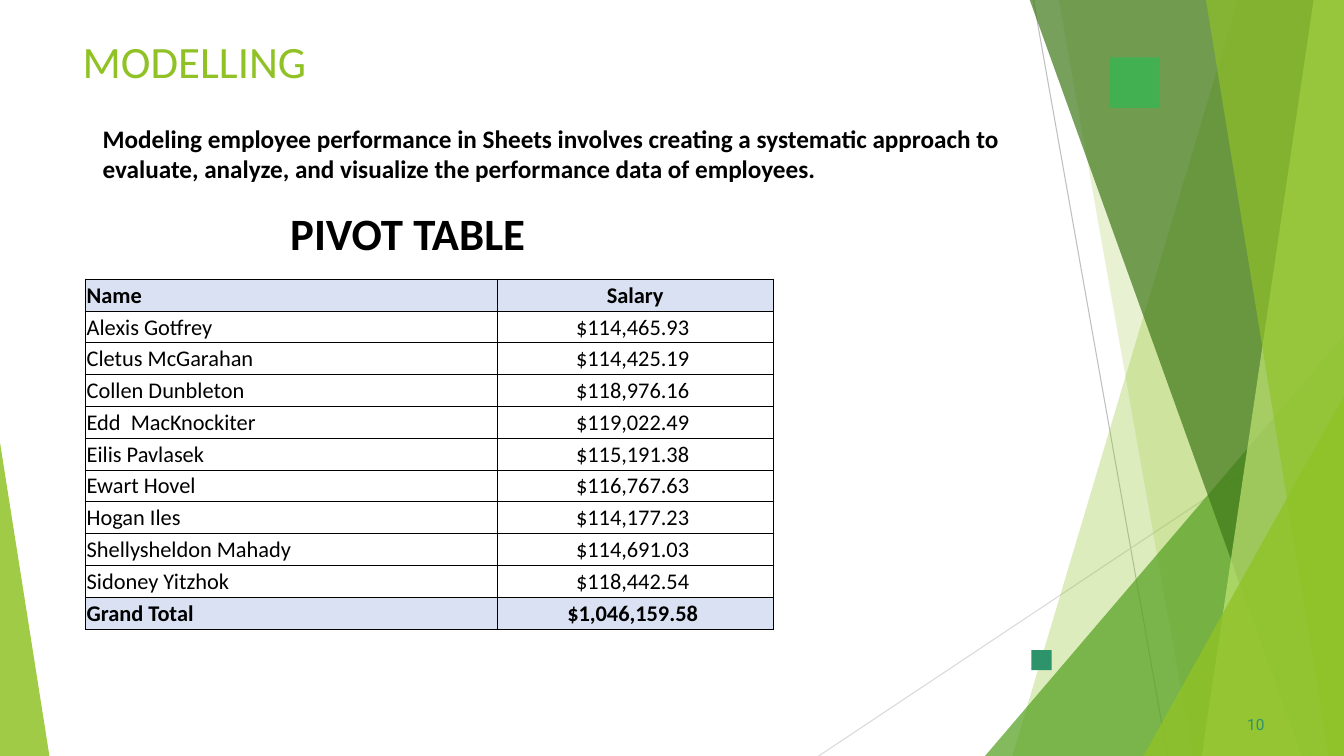
from dataclasses import dataclass

from lxml.etree import SubElement
from pptx import Presentation
from pptx.dml.color import RGBColor
from pptx.enum.shapes import MSO_CONNECTOR, MSO_SHAPE
from pptx.enum.text import MSO_ANCHOR, PP_ALIGN
from pptx.oxml.ns import qn
from pptx.shapes.autoshape import Shape
from pptx.slide import Slide
from pptx.table import _Cell
from pptx.text.text import TextFrame
from pptx.util import Inches, Pt

BLACK = RGBColor(0x00, 0x00, 0x00)
WHITE = RGBColor(0xFF, 0xFF, 0xFF)
GREY = RGBColor(0xBF, 0xBF, 0xBF)
LIGHT_GREY = RGBColor(0xD9, 0xD9, 0xD9)
LIME = RGBColor(0x90, 0xC2, 0x26)
PALE_LIME = RGBColor(0xC0, 0xE4, 0x74)
GREEN = RGBColor(0x54, 0xA0, 0x21)
DARK_GREEN = RGBColor(0x3F, 0x78, 0x19)
TEAL = RGBColor(0x2D, 0x93, 0x6B)
EMERALD = RGBColor(0x42, 0xAF, 0x51)
PALE_BLUE = RGBColor(0xD9, 0xE1, 0xF2)

WIDTH, HEIGHT = 13.33, 7.5
BLEED_TOP = -0.01


@dataclass
class Ray:
    start: tuple[float, float]
    end: tuple[float, float]
    color: RGBColor


@dataclass
class Band:
    """A facet from the top to the bottom edge, open to the right side."""
    top_x: float
    bottom_x: float
    color: RGBColor
    opacity: int


@dataclass
class Wedge:
    """A triangle standing on the bottom edge, its apex at one end of the base."""
    left: float
    top: float
    width: float
    apex: float
    color: RGBColor
    opacity: int


@dataclass
class Square:
    left: float
    top: float
    side: float
    color: RGBColor


RAYS = [
    Ray((10.25, 0), (11.58, HEIGHT), GREY),
    Ray((WIDTH, 4.03), (8.12, HEIGHT), LIGHT_GREY),
]
FACETS = [
    Band(12.28, 10.04, LIME, 30),
    Band(10.5, 11.83, LIME, 20),
    Wedge(9.77, 3.33, 3.56, 1, GREEN, 72),
    Band(10.21, 12.91, DARK_GREEN, 70),
    Band(13.03, 11.92, PALE_LIME, 70),
    Band(11.96, 13.18, LIME, 65),
    Wedge(11.34, 3.93, 1.99, 1, LIME, 80),
    Wedge(0, 4.39, 0.49, 0, LIME, 85),
]
SQUARES = [Square(10.23, 6.45, 0.2, TEAL), Square(11, 0.57, 0.5, EMERALD)]

SALARIES = {
    "Alexis Gotfrey": 114465.93,
    "Cletus McGarahan": 114425.19,
    "Collen Dunbleton": 118976.16,
    "Edd  MacKnockiter": 119022.49,
    "Eilis Pavlasek": 115191.38,
    "Ewart Hovel": 116767.63,
    "Hogan Iles": 114177.23,
    "Shellysheldon Mahady": 114691.03,
    "Sidoney Yitzhok": 118442.54,
}


def paint(sp: Shape, color: RGBColor, opacity: int = 100) -> None:
    sp.shadow.inherit = False
    sp.line.fill.background()
    sp.fill.solid()
    sp.fill.fore_color.rgb = color
    if opacity < 100:
        clr = sp.fill._xPr.find(qn("a:solidFill"))[0]
        SubElement(clr, qn("a:alpha"), val=str(opacity * 1000))


def draw_ray(s: Slide, ray: Ray) -> None:
    points = [Inches(v) for v in ray.start + ray.end]
    line = s.shapes.add_connector(MSO_CONNECTOR.STRAIGHT, *points)
    line.line.color.rgb = ray.color
    line.line.width = Pt(0.75)
    SubElement(line._element.spPr, qn("a:effectLst"))


def draw_band(s: Slide, band: Band) -> None:
    corners = [(band.top_x, BLEED_TOP), (WIDTH, BLEED_TOP),
               (WIDTH, HEIGHT), (band.bottom_x, HEIGHT)]
    points = [(Inches(x), Inches(y)) for x, y in corners]
    builder = s.shapes.build_freeform(*points[0])
    builder.add_line_segments(points[1:], close=True)
    paint(builder.convert_to_shape(), band.color, band.opacity)


def draw_wedge(s: Slide, wedge: Wedge) -> None:
    sp = s.shapes.add_shape(
        MSO_SHAPE.ISOSCELES_TRIANGLE, Inches(wedge.left), Inches(wedge.top),
        Inches(wedge.width), Inches(HEIGHT - wedge.top))
    sp.adjustments[0] = wedge.apex
    paint(sp, wedge.color, wedge.opacity)


def draw_square(s: Slide, square: Square) -> None:
    side = Inches(square.side)
    sp = s.shapes.add_shape(MSO_SHAPE.RECTANGLE, Inches(square.left),
                            Inches(square.top), side, side)
    paint(sp, square.color)


def write(tf: TextFrame, text: str, *, size: float, color: RGBColor = BLACK,
          font: str = "Calibri", bold: bool = False,
          align: PP_ALIGN = PP_ALIGN.LEFT, before: float = 0,
          indent: float = 0) -> None:
    p = tf.paragraphs[0]
    p.alignment = align
    p.space_before = Pt(before)
    if indent:
        p._p.get_or_add_pPr().set("marL", str(Inches(indent)))
    r = p.add_run()
    r.text = text
    r.font.size, r.font.name, r.font.bold = Pt(size), font, bold
    r.font.color.rgb = color


def add_text_frame(s: Slide, left: float, top: float, width: float,
                   height: float, tight: bool = False) -> TextFrame:
    box = s.shapes.add_textbox(Inches(left), Inches(top), Inches(width), Inches(height))
    tf = box.text_frame
    tf.word_wrap = True
    if tight:
        tf.margin_left = tf.margin_right = tf.margin_bottom = 0
        tf.margin_top = Inches(0.01)
    return tf


def style_cell(cell: _Cell, fill: RGBColor) -> None:
    cell.margin_left = cell.margin_right = cell.margin_top = Inches(0.01)
    cell.margin_bottom = 0
    cell.vertical_anchor = MSO_ANCHOR.MIDDLE
    tc_pr = cell._tc.get_or_add_tcPr()
    for side in ("lnL", "lnR", "lnT", "lnB"):
        border = SubElement(tc_pr, qn(f"a:{side}"), w=str(Pt(0.5)))
        solid = SubElement(border, qn("a:solidFill"))
        SubElement(solid, qn("a:srgbClr"), val=str(BLACK))
    cell.fill.solid()
    cell.fill.fore_color.rgb = fill


def add_salary_table(s: Slide) -> None:
    amounts = SALARIES | {"Grand Total": sum(SALARIES.values())}
    rows = [("Name", "Salary")]
    rows += [(name, f"${amount:,.2f} ") for name, amount in amounts.items()]
    table = s.shapes.add_table(len(rows), 2, Inches(0.85), Inches(2.77),
                               Inches(6.82), Inches(3.47)).table
    table.first_row = table.horz_banding = False
    table.columns[0].width, table.columns[1].width = Inches(4.08), Inches(2.74)
    for i, row in enumerate(rows):
        strong = i in (0, len(rows) - 1)
        for j, text in enumerate(row):
            cell = table.cell(i, j)
            style_cell(cell, PALE_BLUE if strong else WHITE)
            write(cell.text_frame, text, size=16, bold=strong,
                  align=PP_ALIGN.CENTER if j else PP_ALIGN.LEFT)


def main() -> None:
    prs = Presentation()
    prs.slide_width, prs.slide_height = Inches(WIDTH), Inches(HEIGHT)
    s = prs.slides.add_slide(prs.slide_layouts[6])
    for ray in RAYS:
        draw_ray(s, ray)
    for facet in FACETS:
        if isinstance(facet, Band):
            draw_band(s, facet)
        else:
            draw_wedge(s, facet)
    for square in SQUARES:
        draw_square(s, square)
    write(add_text_frame(s, 12.33, 7.08, 0.25, 0.21, tight=True), "10",
          size=11, color=TEAL, font="Roboto", before=0.6, indent=0.04)
    write(add_text_frame(s, 0.81, 0.32, 3.61, 0.55, tight=True), "MODELLING",
          size=32, color=LIME, before=1.1, indent=0.01)
    write(add_text_frame(s, 0.92, 1.17, 9.67, 1.27),
          "Modeling employee performance in Sheets involves creating a systematic approach "
          "to evaluate, analyze, and visualize the performance data of employees.",
          size=18, bold=True)
    write(add_text_frame(s, 2.78, 1.99, 3, 0.64), "PIVOT TABLE", size=32, bold=True)
    add_salary_table(s)
    prs.save("out.pptx")


if __name__ == "__main__":
    main()
